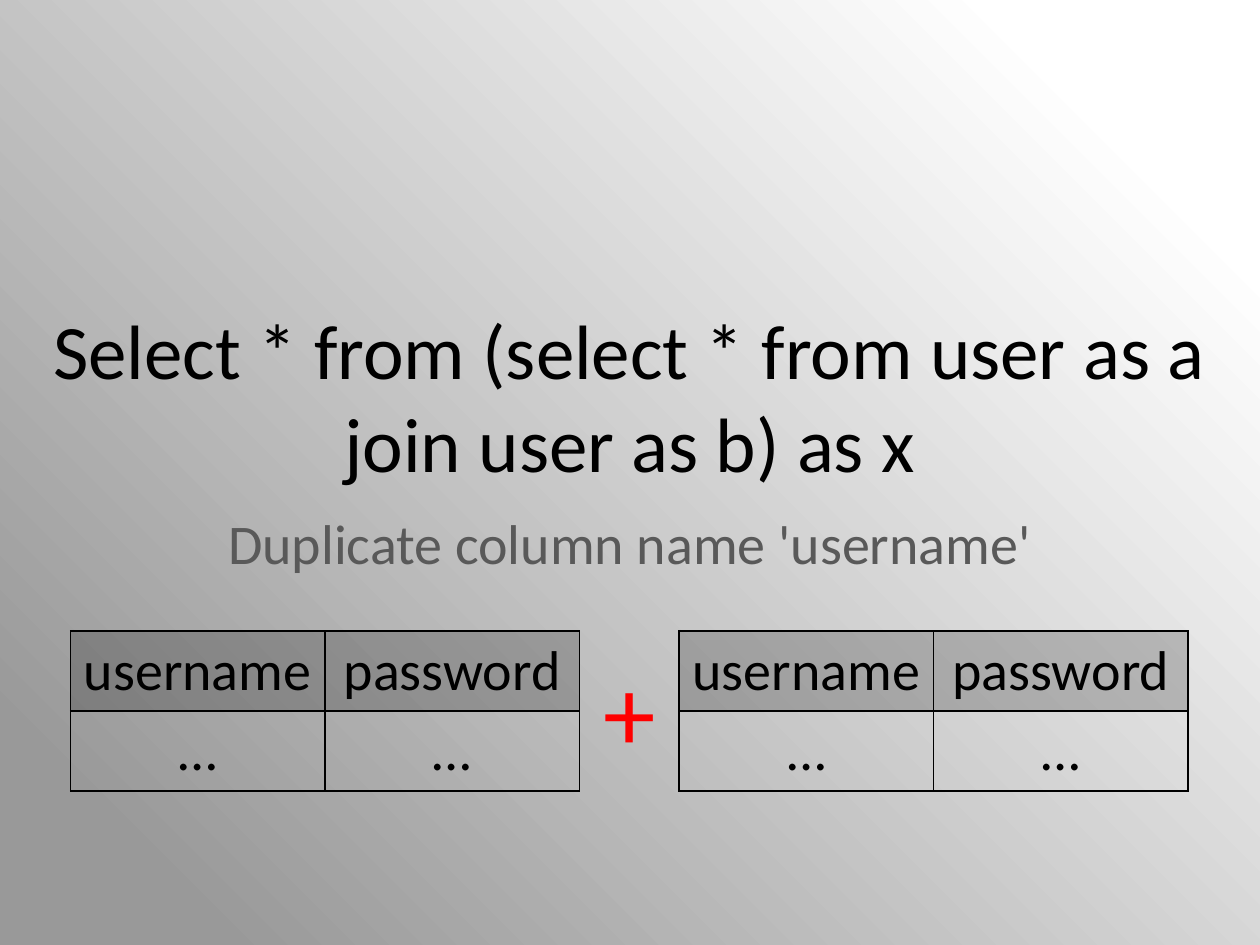
from lxml import etree
from pptx import Presentation
from pptx import util as u
from pptx.dml.color import RGBColor
from pptx.enum import text
from pptx.oxml import ns

Pt = u.Pt
COLORS = {
    "black": "000000",
    "subtitle": "595959",
    "plus": "FF0000",
    "dark": "999999",
    "light": "FFFFFF",
}
FONT = "Calibri"
ROWS = (("username", "password"), ("…", "…"))
COLUMN_WIDTH, ROW_HEIGHT = 145.44, 45.7


def rgb(name):
    return RGBColor.from_string(COLORS[name])


def style_paragraph(paragraph, size, color, align):
    paragraph.alignment = align
    font = paragraph.font
    font.name, font.size, font.bold = FONT, Pt(size), False
    font.color.rgb = rgb(color)


def set_background(slide):
    """Grade from dark at bottom left to light at top right."""
    fill = slide.background.fill
    fill.gradient()
    fill.gradient_angle = 45
    for stop, (position, color) in zip(fill.gradient_stops, ((0.1, "dark"), (0.88, "light"))):
        stop.position = position
        stop.color.rgb = rgb(color)


def add_text(slide, box, words, size, color, align=text.PP_ALIGN.CENTER,
             anchor=text.MSO_ANCHOR.TOP, wrap=True):
    frame = slide.shapes.add_textbox(*map(Pt, box)).text_frame
    frame.word_wrap = wrap
    frame.vertical_anchor = anchor
    paragraph = frame.paragraphs[0]
    paragraph.text = words
    style_paragraph(paragraph, size, color, align)


def add_borders(cell):
    properties = cell._tc.get_or_add_tcPr()
    for index, side in enumerate(("lnL", "lnR", "lnT", "lnB")):
        line = etree.Element(ns.qn(f"a:{side}"), w=str(Pt(1)))
        fill = etree.SubElement(line, ns.qn("a:solidFill"))
        etree.SubElement(fill, ns.qn("a:srgbClr"), val=COLORS["black"])
        properties.insert(index, line)


def shade(cell, percent):
    """Fill a cell with black at the given opacity."""
    cell.fill.solid()
    cell.fill.fore_color.rgb = rgb("black")
    color = cell._tc.tcPr.find(ns.qn("a:solidFill"))[0]
    etree.SubElement(color, ns.qn("a:alpha"), val=str(percent * 1000))


def add_user_table(slide, left, top):
    columns = len(ROWS[0])
    table = slide.shapes.add_table(
        len(ROWS), columns, Pt(left), Pt(top),
        Pt(COLUMN_WIDTH * columns), Pt(ROW_HEIGHT * len(ROWS))).table
    table.first_row = table.horz_banding = False
    for row, words in enumerate(ROWS):
        for column, word in enumerate(words):
            cell = table.cell(row, column)
            cell.text = word
            style_paragraph(cell.text_frame.paragraphs[0], 32, "black", text.PP_ALIGN.CENTER)
            if row == 0:
                shade(cell, 20)
            else:
                cell.fill.background()
            add_borders(cell)


def main():
    presentation = Presentation()
    presentation.slide_width, presentation.slide_height = Pt(720), Pt(540)
    slide = presentation.slides.add_slide(presentation.slide_layouts[6])
    set_background(slide)
    add_text(slide, (0, 167.76, 720, 115.92),
             "Select * from (select * from user as a join user as b) as x",
             44, "black", anchor=text.MSO_ANCHOR.MIDDLE)
    add_text(slide, (0, 287.28, 720, 138.24), "Duplicate column name 'username'",
             32, "subtitle")
    for left in (40.32, 388.08):
        add_user_table(slide, left, 360.72)
    add_text(slide, (337.68, 365.76, 45.36, 79.92), "+", 60, "plus",
             align=text.PP_ALIGN.LEFT, wrap=False)
    presentation.save("out.pptx")


if __name__ == "__main__":
    main()
